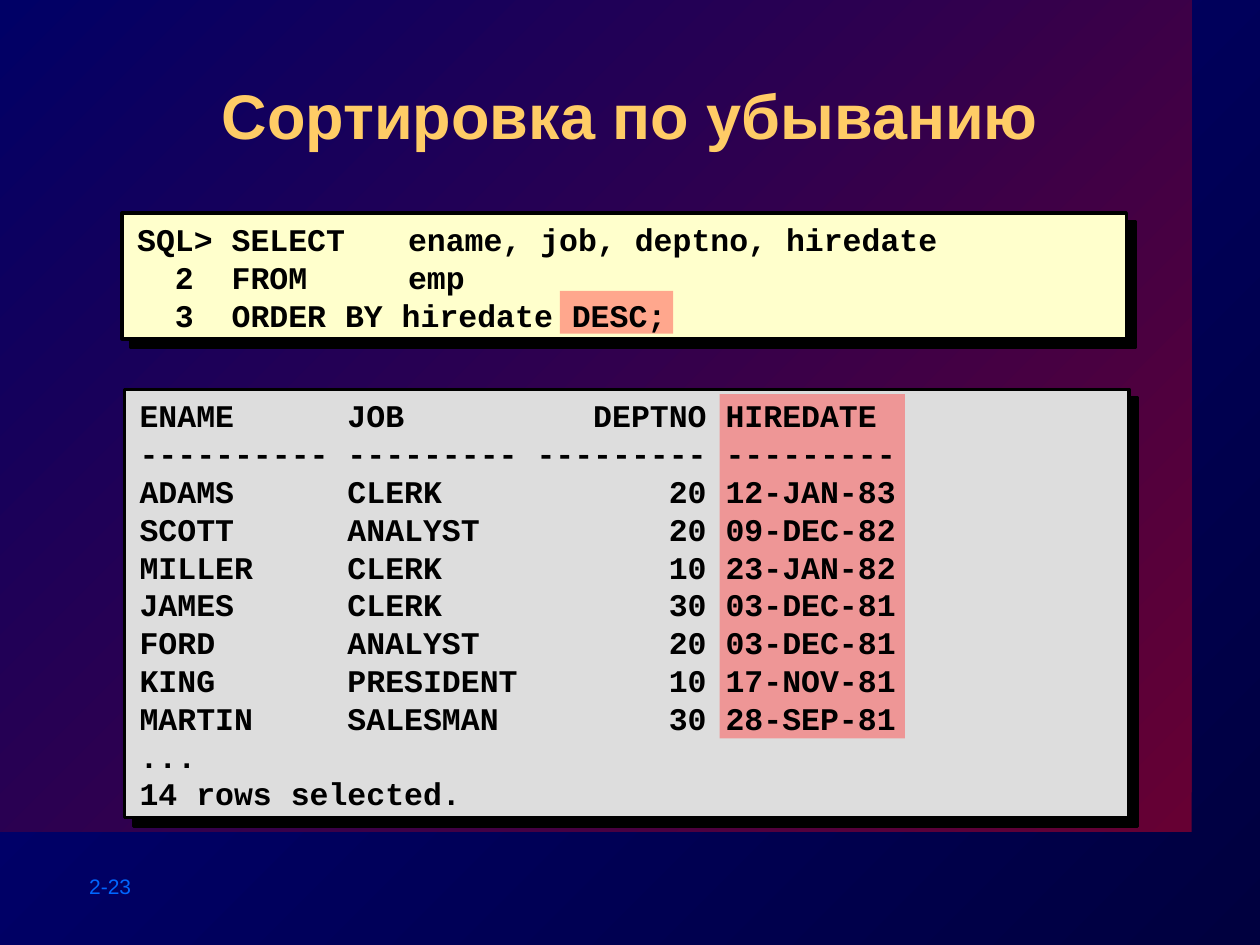
from lxml.etree import SubElement
from pptx import Presentation
from pptx.dml.color import RGBColor
from pptx.enum.shapes import MSO_SHAPE as Shape
from pptx.enum.text import MSO_ANCHOR as Anchor, PP_ALIGN as Align
from pptx.oxml import parse_xml
from pptx.oxml.ns import nsdecls, qn
from pptx.util import Pt

COLORS = {
    "navy_dark": "00003F", "navy": "000080", "wine": "660033", "indigo": "000066",
    "title": "FFCC66", "number": "0066FF", "black": "000000",
    "code": "FFFFCC", "result": "DDDDDD", "mark": "FF5050",
}


def paint_gradient(fill, start, end):
    fill.gradient()
    fill.gradient_angle = 135
    for stop, name in zip(fill.gradient_stops, (start, end)):
        stop.color.rgb = RGBColor.from_string(COLORS[name])


def add_text(text, left, top, width, height, size=18, font="Arial", color="black",
             bold=True, align=Align.LEFT, anchor=Anchor.TOP, spacing=None,
             tabs=(), shadow=None):
    box = page.shapes.add_textbox(Pt(left), Pt(top), Pt(width), Pt(height))
    frame = box.text_frame
    frame.word_wrap = True
    frame.vertical_anchor = anchor
    for index, line in enumerate(text.split("\n")):
        para = frame.add_paragraph() if index else frame.paragraphs[0]
        para.alignment = align
        if tabs:
            stops = SubElement(para._p.get_or_add_pPr(), qn("a:tabLst"))
            for position in tabs:
                SubElement(stops, qn("a:tab"), pos=str(Pt(position)), algn="l")
        if spacing:
            para.line_spacing = Pt(spacing)
        span = para.add_run()
        span.text = line
        span.font.size = Pt(size)
        span.font.name = font
        span.font.bold = bold
        span.font.color.rgb = RGBColor.from_string(COLORS[color])
        if shadow:
            span.font.fill._xPr.find(qn("a:solidFill")).addnext(parse_xml(shadow))


deck = Presentation()
deck.slide_width, deck.slide_height = Pt(720), Pt(540)
page = deck.slides.add_slide(deck.slide_layouts[6])

drop_shadow = (
    f'<a:effectLst {nsdecls("a")}><a:outerShdw blurRad="0" dist="{Pt(7.1)}" '
    'dir="2700000" algn="ctr" rotWithShape="0">'
    f'<a:srgbClr val="{COLORS["black"]}"/></a:outerShdw></a:effectLst>'
)

# Background and the large backdrop over it
paint_gradient(page.background.fill, "navy_dark", "navy")
backdrop = page.shapes.add_shape(Shape.RECTANGLE, 0, 0, Pt(681), Pt(475.2))
backdrop.shadow.inherit = False
backdrop.line.fill.background()
paint_gradient(backdrop.fill, "wine", "indigo")

# Page number and title
add_text("2-23", 43.9, 495.4, 80, 21.6, size=12, color="number", bold=False)
add_text("Сортировка по убыванию", 72.7, 40.3, 574.6, 69.1, size=36, color="title",
         align=Align.CENTER, shadow=drop_shadow)

# Panels for the query and its result
for color, left, top, height in (("code", 69.84, 121.7, 72), ("result", 71.3, 222.5, 244.8)):
    panel = page.shapes.add_shape(Shape.RECTANGLE, Pt(left), Pt(top), Pt(573.8), Pt(height))
    panel.fill.solid()
    panel.fill.fore_color.rgb = RGBColor.from_string(COLORS[color])
    panel.line.color.rgb = RGBColor.from_string(COLORS["black"])
    panel.line.width = Pt(2)
    panel._element.spPr.append(parse_xml(drop_shadow))

# Half-transparent marks on DESC and the HIREDATE column
for left, top, width, height in ((319.9, 166.2, 64.8, 24.4), (411.3, 225.2, 105.8, 196.7)):
    mark = page.shapes.add_shape(Shape.RECTANGLE, Pt(left), Pt(top), Pt(width), Pt(height))
    mark.shadow.inherit = False
    mark.line.fill.background()
    mark.fill.solid()
    mark.fill.fore_color.rgb = RGBColor.from_string(COLORS["mark"])
    tint = mark._element.spPr.find(qn("a:solidFill"))[0]
    SubElement(tint, qn("a:alpha"), val="50000")

# Query and result listing
query = """SQL> SELECT  \t ename, job, deptno, hiredate
  2  FROM    \t emp
  3  ORDER BY hiredate DESC;"""

result = """ENAME      JOB          DEPTNO HIREDATE
---------- --------- --------- ---------
ADAMS      CLERK            20 12-JAN-83
SCOTT      ANALYST          20 09-DEC-82
MILLER     CLERK            10 23-JAN-82
JAMES      CLERK            30 03-DEC-81
FORD       ANALYST          20 03-DEC-81
KING       PRESIDENT        10 17-NOV-81
MARTIN     SALESMAN         30 28-SEP-81
...
14 rows selected."""

for listing, left, top, height in ((query, 71.3, 121, 74.2), (result, 72.7, 221.8, 247)):
    add_text(listing, left, top, 576, height, font="Courier New", anchor=Anchor.MIDDLE,
             spacing=21.6, tabs=(94.3, 144))

deck.save("out.pptx")
